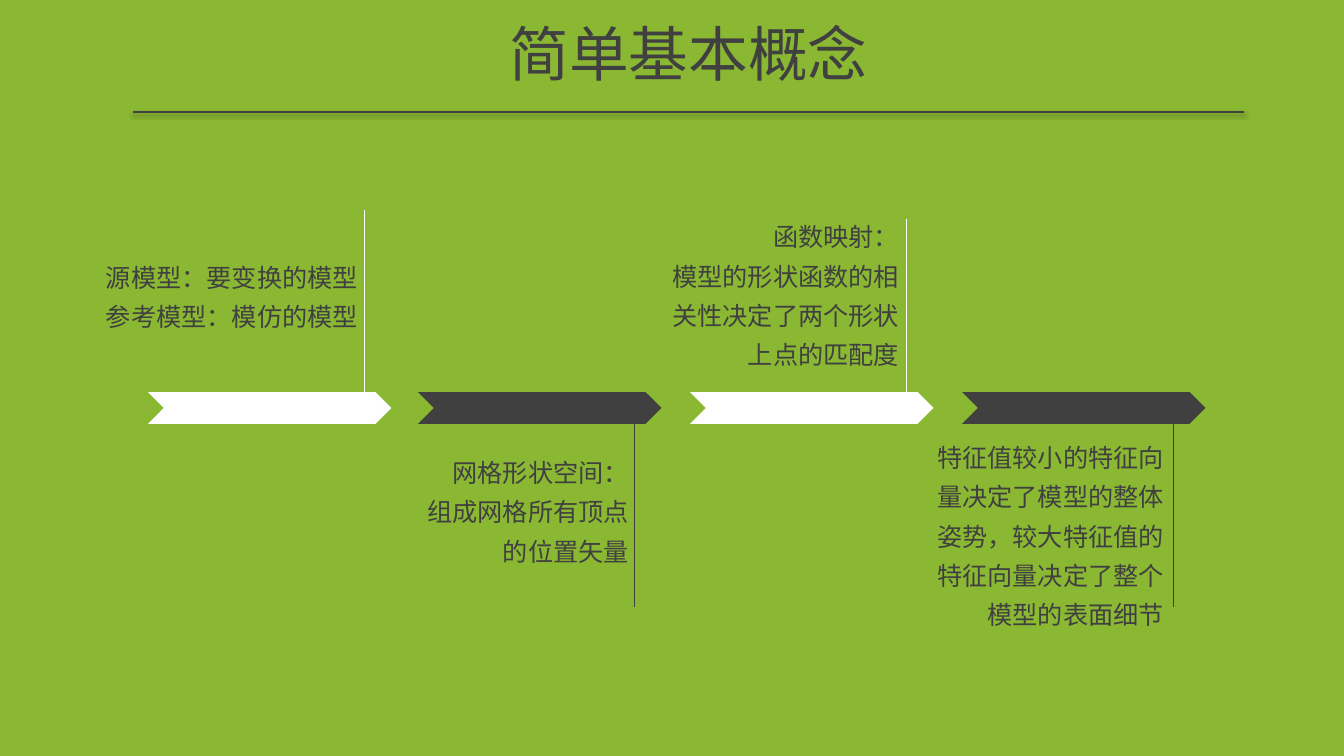
import pptx
import pptx.util
import pptx.dml.color
import pptx.enum.shapes
import pptx.enum.text
import pptx.oxml
import pptx.oxml.ns

Pt = pptx.util.Pt
RGB = pptx.dml.color.RGBColor
Align = pptx.enum.text.PP_ALIGN
Anchor = pptx.enum.text.MSO_ANCHOR
Shape = pptx.enum.shapes.MSO_SHAPE
Line = pptx.enum.shapes.MSO_CONNECTOR

GREEN = RGB(0x8A, 0xB8, 0x33)
WHITE = RGB(0xFF, 0xFF, 0xFF)
DARK = RGB(0x40, 0x40, 0x40)
FONT = "Noto Sans CJK SC"

TITLE = "简单基本概念"
STEPS = [
    (105.8, WHITE, (260.6, 149.8), (39.6, 177.1, 223.2, 64),
     ["源模型：要变换的模型", "参考模型：模仿的模型"]),
    (298.8, DARK, (453.6, 303.1), (285.1, 316.8, 171.4, 92),
     ["网格形状空间：", "组成网格所有顶点的位置矢量"]),
    (493.2, WHITE, (648, 156.2), (456.5, 148.3, 193, 121),
     ["函数映射：", "模型的形状函数的相关性决定了两个形状上点的匹配度"]),
    (687.6, DARK, (838.8, 303.1), (649.4, 306, 189.4, 149),
     ["特征值较小的特征向量决定了模型的整体姿势，较大特征值的特征向量决定了整个模型的表面细节"]),
]
BAR_TOP, BAR_W, BAR_H, STEM = 280.1, 173.9, 22.6, 130.2

NS = pptx.oxml.ns.nsdecls("a")
PLAIN = f"<a:effectLst {NS}/>"
SHADOW = (f'<a:effectLst {NS}><a:outerShdw blurRad="{Pt(3.1)}" dist="{Pt(1.6)}" '
          'dir="5400000" rotWithShape="0"><a:srgbClr val="000000">'
          '<a:alpha val="38000"/></a:srgbClr></a:outerShdw></a:effectLst>')


def draw_line(slide, start, end, color, width, effect=PLAIN):
    line = slide.shapes.add_connector(Line.STRAIGHT, *map(Pt, start + end))
    line.line.color.rgb = color
    line.line.width = Pt(width)
    line._element.spPr.append(pptx.oxml.parse_xml(effect))


def set_text(frame, lines, size, align, space):
    frame.word_wrap = True
    frame.vertical_anchor = Anchor.TOP
    frame.text = "\n".join(lines)
    for para in frame.paragraphs:
        para.alignment = align
        para.line_spacing = space
        para.font.size = Pt(size)
        para.font.name = FONT
        para.font.color.rgb = DARK


def main():
    deck = pptx.Presentation()
    deck.slide_width, deck.slide_height = Pt(960.5), Pt(540)
    slide = deck.slides.add_slide(deck.slide_layouts[5])
    slide.background.fill.solid()
    slide.background.fill.fore_color.rgb = GREEN

    title = slide.shapes.title
    title.left, title.top, title.width, title.height = map(Pt, (154.1, 8.6, 676.1, 59))
    set_text(title.text_frame, [TITLE], 42.7, Align.CENTER, 1.0)
    draw_line(slide, (95, 79.9), (889.2, 79.9), DARK, 1, SHADOW)

    for left, color, (x, top), box, lines in STEPS:
        bar = slide.shapes.add_shape(
            Shape.CHEVRON, *map(Pt, (left, BAR_TOP, BAR_W, BAR_H)))
        bar.shadow.inherit = False
        bar.fill.solid()
        bar.fill.fore_color.rgb = color
        bar.line.fill.background()
        draw_line(slide, (x, top), (x, top + STEM), color, 0.75)
        note = slide.shapes.add_textbox(*map(Pt, box))
        set_text(note.text_frame, lines, 18, Align.RIGHT, 1.3)

    deck.save("out.pptx")


if __name__ == "__main__":
    main()
